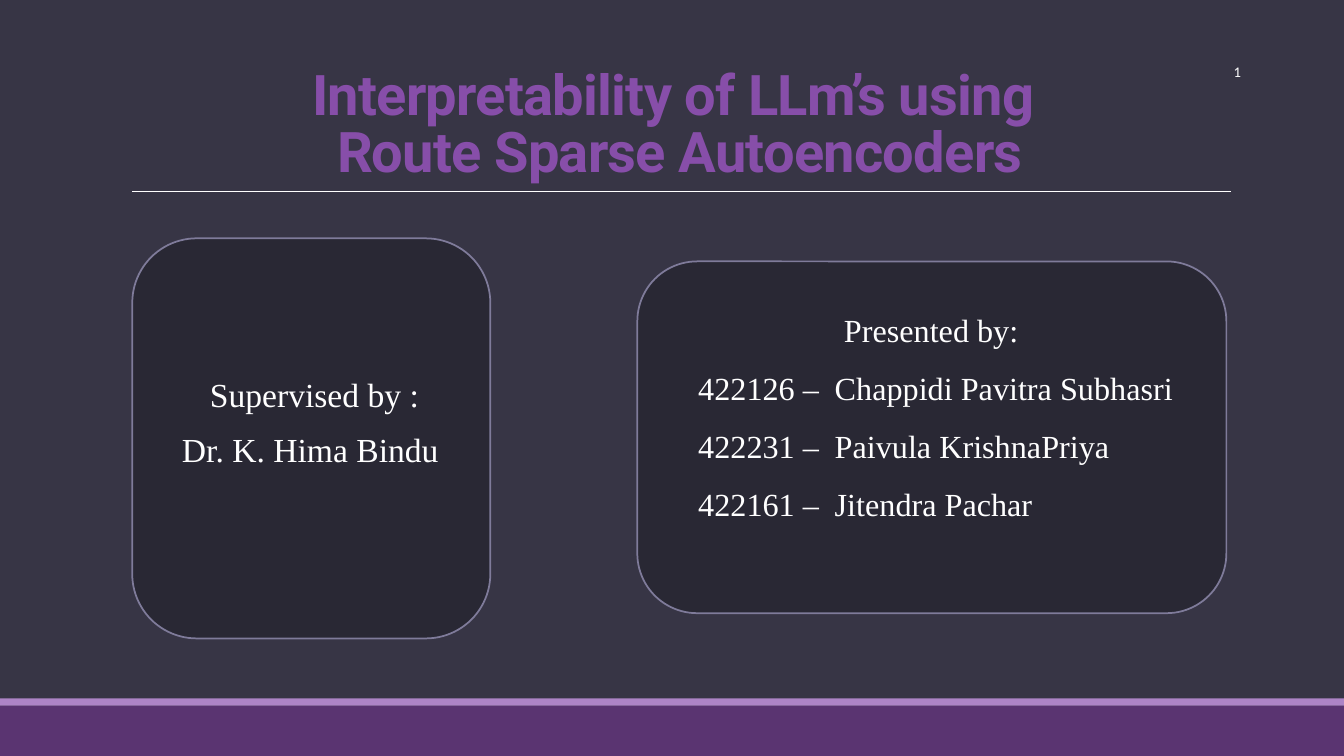
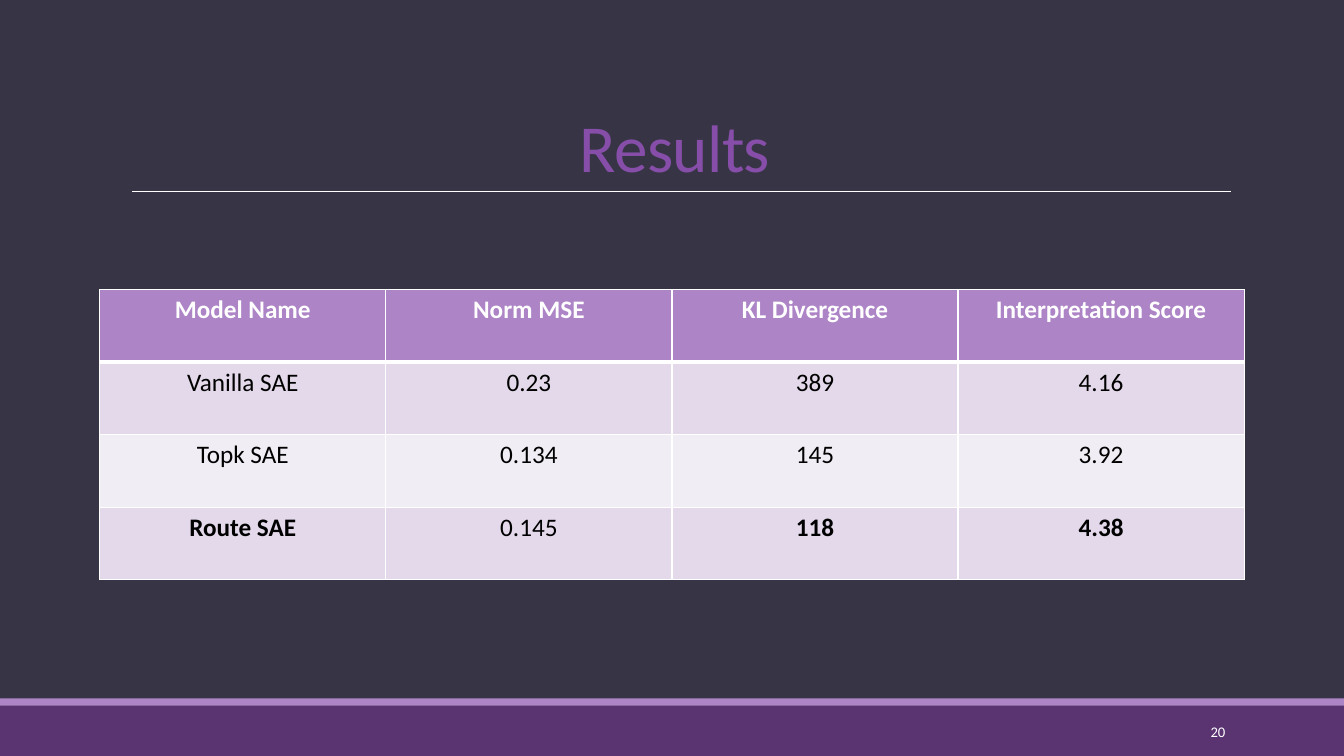
import dataclasses
import typing

import lxml.etree
import pptx
import pptx.dml.color
import pptx.enum.shapes
import pptx.enum.text
import pptx.oxml.ns
import pptx.util

EMU_PER_PX = 9525  # 96 px to the inch
ALIGN = pptx.enum.text.PP_ALIGN
ANCHOR = pptx.enum.text.MSO_ANCHOR
SHAPE = pptx.enum.shapes.MSO_SHAPE


@dataclasses.dataclass(frozen=True)
class Theme:
    background: str = "373545"
    band: str = "5A3471"
    accent: str = "AD84C6"
    title: str = "874EA9"
    white: str = "FFFFFF"
    black: str = "000000"
    card: str = "292834"
    card_edge: str = "7F7B9A"
    row_dark: str = "E3D9EA"
    row_light: str = "F1EDF5"
    sans: str = "Calibri"
    serif: str = "Times New Roman"
    display: str = "Roboto"
    cover_title_size: float = 40
    title_size: float = 48
    supervisor_size: float = 24
    presenter_size: float = 23
    table_size: float = 18
    number_size: float = 10.5


THEME = Theme()


class Area(typing.NamedTuple):
    left: int
    top: int
    width: int
    height: int


class Panel(typing.NamedTuple):
    area: Area
    fill: str
    edge: str = ""
    kind: int = SHAPE.RECTANGLE
    corner: float = 0


class Result(typing.NamedTuple):
    cells: tuple[str, ...]
    bold: tuple[int, ...] = ()


BANDS = (
    Panel(Area(0, 672, 1280, 48), THEME.band),
    Panel(Area(0, 665, 1280, 7), THEME.accent),
)
CARDS = (
    Panel(Area(607, 249, 561, 335), THEME.card, THEME.card_edge, SHAPE.ROUNDED_RECTANGLE, 0.17),
    Panel(Area(126, 227, 341, 381), THEME.card, THEME.card_edge, SHAPE.ROUNDED_RECTANGLE, 0.18),
)
PRESENTERS = (
    "422126 –\tChappidi Pavitra Subhasri",
    "422231 –\tPaivula KrishnaPriya",
    "422161 –\tJitendra Pachar",
)
HEADINGS = ("Model Name", "Norm MSE", "KL Divergence", "Interpretation Score")
RESULTS = (
    Result(HEADINGS, (0, 1, 2, 3)),
    Result(("Vanilla SAE", "0.23", "389", "4.16")),
    Result(("Topk SAE", "0.134", "145", "3.92")),
    Result(("Route SAE", "0.145", "118", "4.38"), (0, 2, 3)),
)


def px(length: int) -> pptx.util.Emu:
    return pptx.util.Emu(length * EMU_PER_PX)


def place(area: Area) -> list[pptx.util.Emu]:
    return [px(length) for length in area]


def rgb(color: str) -> pptx.dml.color.RGBColor:
    return pptx.dml.color.RGBColor.from_string(color)


def paint(fill, color: str) -> None:
    fill.solid()
    fill.fore_color.rgb = rgb(color)


def write(para, text: str, *, size: float, font: str = THEME.sans,
          color: str = THEME.white, bold: bool = False, align=ALIGN.CENTER,
          line_spacing: float = 1.0, before: float = 0, after: float = 0,
          tracking: float = 0, hang_from: int = 0, hang_to: int = 0) -> None:
    """Fill a paragraph; a newline in the text becomes a line break."""
    para.alignment = align
    para.line_spacing = line_spacing
    para.space_before = pptx.util.Pt(before)
    para.space_after = pptx.util.Pt(after)
    if hang_to:
        properties = para._p.get_or_add_pPr()
        properties.set("marL", str(px(hang_to)))
        properties.set("indent", str(px(hang_from - hang_to)))
    for index, line in enumerate(text.split("\n")):
        if index:
            para.add_line_break()
        span = para.add_run()
        span.text = line
        span.font.name = font
        span.font.size = pptx.util.Pt(size)
        span.font.bold = bold
        span.font.color.rgb = rgb(color)
        if tracking:
            span._r.get_or_add_rPr().set("spc", str(round(tracking * 100)))


def add_text_box(page, area: Area, anchor=ANCHOR.TOP, side_inset: int = 10):
    frame = page.shapes.add_textbox(*place(area)).text_frame
    frame.word_wrap = True
    frame.vertical_anchor = anchor
    frame.margin_left = frame.margin_right = px(side_inset)
    frame.margin_top = frame.margin_bottom = px(5)
    return frame


def add_panel(page, panel: Panel) -> None:
    box = page.shapes.add_shape(panel.kind, *place(panel.area))
    box.shadow.inherit = False
    paint(box.fill, panel.fill)
    if panel.corner:
        box.adjustments[0] = panel.corner
    if panel.edge:
        box.line.color.rgb = rgb(panel.edge)
        box.line.width = pptx.util.Pt(1.25)
    else:
        box.line.fill.background()


def add_rule(page) -> None:
    rule = page.shapes.add_connector(
        pptx.enum.shapes.MSO_CONNECTOR.STRAIGHT, px(126), px(182), px(1172), px(182))
    rule.line.color.rgb = rgb(THEME.white)
    rule.line.width = pptx.util.Pt(0.5)
    lxml.etree.SubElement(rule._element.spPr, pptx.oxml.ns.qn("a:effectLst"))


def add_page(deck, title: str, title_area: Area, number: str, number_area: Area,
             **title_format):
    """Add a page with the shared background, bands, rule, title and number."""
    page = deck.slides.add_slide(deck.slide_layouts[6])
    paint(page.background.fill, THEME.background)
    for band in BANDS:
        add_panel(page, band)
    add_rule(page)
    frame = add_text_box(page, title_area, ANCHOR.BOTTOM)
    write(frame.paragraphs[0], title, color=THEME.title, line_spacing=0.85,
          tracking=-0.5, **title_format)
    frame = add_text_box(page, number_area, ANCHOR.MIDDLE)
    write(frame.paragraphs[0], number, size=THEME.number_size, align=ALIGN.RIGHT)
    return page


def set_borders(cell, **widths: float) -> None:
    """Draw white cell edges; they must come before the fill in the cell."""
    properties = cell._tc.get_or_add_tcPr()
    for index, (side, width) in enumerate(widths.items()):
        edge = lxml.etree.Element(
            pptx.oxml.ns.qn(f"a:ln{side}"), w=str(pptx.util.Pt(width)))
        fill = lxml.etree.SubElement(edge, pptx.oxml.ns.qn("a:solidFill"))
        lxml.etree.SubElement(fill, pptx.oxml.ns.qn("a:srgbClr"), val=THEME.white)
        properties.insert(index, edge)


def add_results_table(page, area: Area) -> None:
    table = page.shapes.add_table(len(RESULTS), len(HEADINGS), *place(area)).table
    table.horz_banding = False
    for row, result in enumerate(RESULTS):
        header = row == 0
        shade = THEME.row_dark if row % 2 else THEME.row_light
        for column, text in enumerate(result.cells):
            cell = table.cell(row, column)
            paint(cell.fill, THEME.accent if header else shade)
            set_borders(cell, L=1, R=1, T=3 if row == 1 else 1, B=3 if header else 1)
            write(cell.text_frame.paragraphs[0], text, size=THEME.table_size,
                  color=THEME.white if header else THEME.black,
                  bold=column in result.bold)


def build_cover(deck) -> None:
    page = add_page(
        deck, "Interpretability of LLm’s using \nRoute Sparse Autoencoders",
        Area(83, 14, 1129, 166), "1", Area(904, 49, 288, 38),
        size=THEME.cover_title_size, font=THEME.display, bold=True)
    for card in CARDS:
        add_panel(page, card)

    # Supervisor
    frame = add_text_box(page, Area(129, 355, 333, 113), side_inset=0)
    for index, text in enumerate((" Supervised by :", "Dr. K. Hima Bindu")):
        para = frame.add_paragraph() if index else frame.paragraphs[0]
        write(para, text, size=THEME.supervisor_size, font=THEME.serif,
              line_spacing=0.9, before=12, after=2)

    # Presenters, names lined up by a hanging indent
    frame = add_text_box(page, Area(632, 272, 510, 281))
    style = dict(size=THEME.presenter_size, font=THEME.serif, line_spacing=1.5)
    write(frame.paragraphs[0], "Presented by:", **style)
    for text in PRESENTERS:
        write(frame.add_paragraph(), text, align=ALIGN.LEFT,
              hang_from=23, hang_to=153, **style)


def build_results(deck) -> None:
    page = add_page(deck, "Results", Area(115, 30, 1056, 152),
                    "20", Area(1040, 678, 137, 38), size=THEME.title_size)
    add_results_table(page, Area(95, 276, 1090, 276))


def main() -> None:
    deck = pptx.Presentation()
    deck.slide_width, deck.slide_height = px(1280), px(720)
    build_cover(deck)
    build_results(deck)
    deck.save("out.pptx")


if __name__ == "__main__":
    main()
